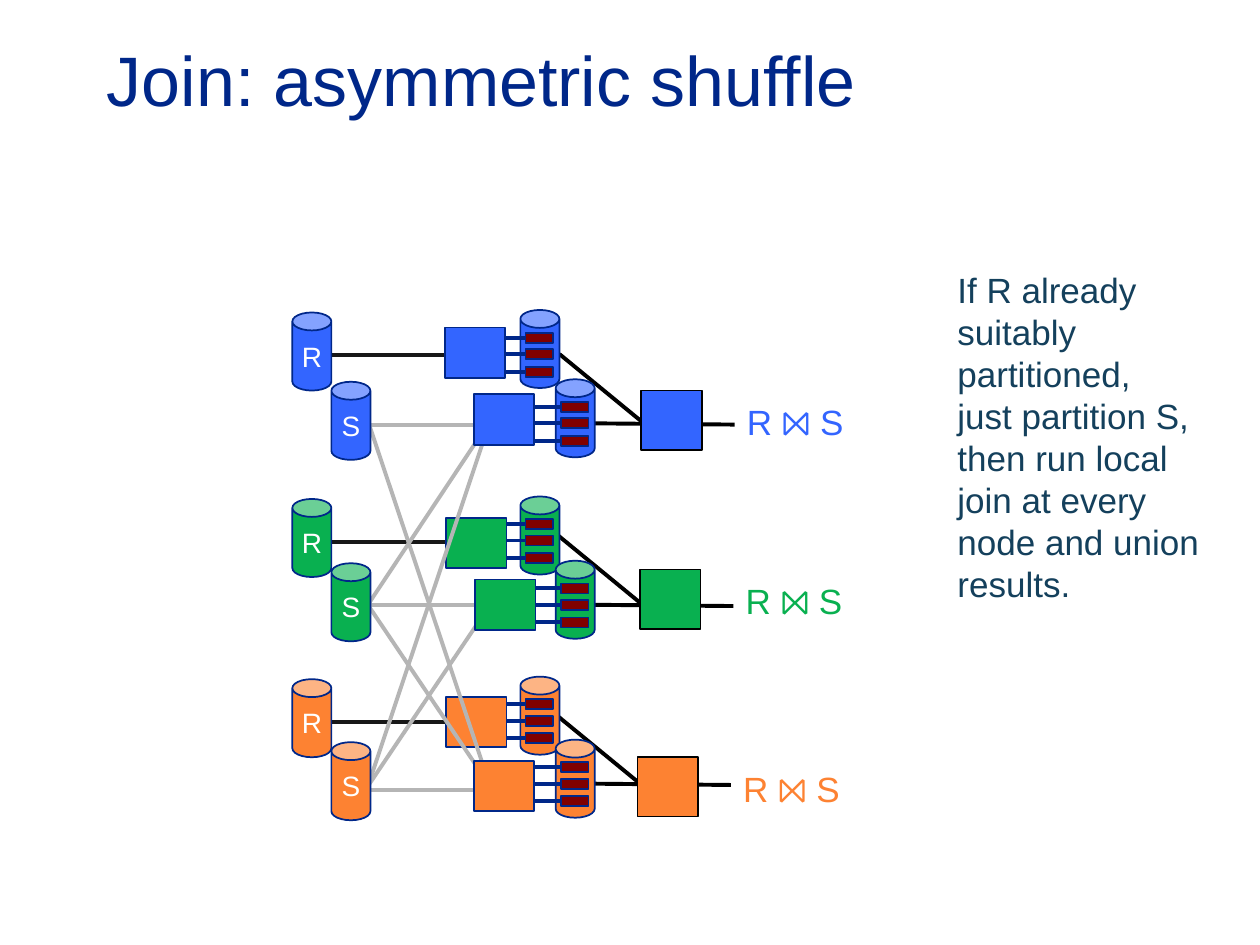
from collections import namedtuple

from lxml import etree
from pptx import Presentation
from pptx.dml import color
from pptx.enum import shapes, text
from pptx.oxml import ns
from pptx.util import Inches, Pt

NAVY, BLACK, WHITE = "002789", "000000", "FFFFFF"
GREY, CHARCOAL, MAROON, SLATE = "B5B5B5", "181818", "800000", "14405C"
RECT, CAN = shapes.MSO_SHAPE.RECTANGLE, shapes.MSO_SHAPE.CAN

Machine = namedtuple("Machine", "fill r_top s_top r_task s_task join lane port")
MACHINES = [
    Machine("3365FF", 2.48, 3.03, (3.53, 2.6), (3.76, 3.13), (5.09, 3.1), 3.37, 3.34),
    Machine("09B050", 3.96, 4.47, (3.54, 4.11), (3.77, 4.6), (5.08, 4.52), 4.8, 4.8),
    Machine("FD8232", 5.39, 5.89, (3.54, 5.53), (3.76, 6.04), (5.06, 6.01), 6.27, 6.24),
]
SHUFFLES = [(0, 2), (1, 0), (2, 1), (1, 2), (2, 0)]


def rgb(value):
    return color.RGBColor.from_string(value)


def add_span(para, words, size, shade):
    span = para.add_run()
    span.text = words
    span.font.name = "Arial"
    span.font.size = Pt(size)
    span.font.color.rgb = rgb(shade)


def add_text(page, area, paragraphs, size, shade, wrap=True, spacing=None):
    box = page.shapes.add_textbox(*map(Inches, area))
    frame = box.text_frame
    frame.word_wrap = wrap
    for number, lines in enumerate(paragraphs):
        para = frame.add_paragraph() if number else frame.paragraphs[0]
        if spacing:
            para.line_spacing = Pt(spacing)
        for row, words in enumerate(lines):
            if row:
                para.add_line_break()
            add_span(para, words, size, shade)
    return frame


def add_block(page, kind, area, fill, outline=NAVY):
    block = page.shapes.add_shape(kind, *map(Inches, area))
    block.shadow.inherit = False
    block.fill.solid()
    block.fill.fore_color.rgb = rgb(fill)
    block.line.color.rgb = rgb(outline)
    block.line.width = Pt(1)
    return block


def add_can(page, left, top, fill, name=None):
    can = add_block(page, CAN, (left, top, 0.31, 0.62), fill)
    can.adjustments[0] = 0.46
    if name:
        frame = can.text_frame
        frame.word_wrap = False
        frame.vertical_anchor = text.MSO_ANCHOR.MIDDLE
        para = frame.paragraphs[0]
        para.alignment = text.PP_ALIGN.CENTER
        add_span(para, name, 16, WHITE)


def add_line(page, start, end, shade):
    line = page.shapes.add_connector(
        shapes.MSO_CONNECTOR.STRAIGHT, *map(Inches, start + end))
    line.line.color.rgb = rgb(shade)
    line.line.width = Pt(2.25)
    etree.SubElement(line._element.spPr, ns.qn("a:effectLst"))
    return line


def add_store(page, left, top, fill):
    add_can(page, left, top, fill)
    for offset in (0.18, 0.31, 0.45):
        y = top + offset
        bucket = add_block(page, RECT, (left + 0.04, y, 0.22, 0.08), MAROON)
        wire = add_line(page, (left - 0.17, y + 0.04), (left + 0.04, y + 0.04), NAVY)
        wire.end_connect(bucket, 1)


def add_join_lines(page, machine):
    x, y = machine.join[0], machine.s_top + 0.33
    add_line(page, (x - 0.65, y - 0.55), (x + 0.02, y), BLACK)
    add_line(page, (4.71, y), (x + 0.74, y + 0.01), BLACK)


def add_local_table(page, machine):
    y = machine.r_top + 0.34
    add_line(page, (2.55, y), (3.64, y), CHARCOAL)
    add_can(page, 2.32, machine.r_top, machine.fill, "R")
    add_store(page, 4.13, machine.r_top - 0.02, machine.fill)
    add_block(page, RECT, machine.r_task + (0.48, 0.4), machine.fill)


def add_shuffle(page):
    for machine in MACHINES:
        add_line(page, (2.85, machine.lane), (3.94, machine.lane), GREY)
    for source, target in SHUFFLES:
        add_line(page, (2.92, MACHINES[source].port),
                 (3.89, MACHINES[target].port), GREY)


def add_shuffled_table(page, machine):
    add_can(page, 2.63, machine.s_top, machine.fill, "S")
    add_store(page, 4.41, machine.s_top - 0.02, machine.fill)
    add_block(page, RECT, machine.s_task + (0.48, 0.4), machine.fill)


def add_join(page, machine):
    x, y = machine.join
    add_block(page, RECT, (x, y, 0.48, 0.47), machine.fill, BLACK)
    add_text(page, (x + 0.74, y + 0.03, 1.02, 0.44), [["R ⨝ S"]], 20,
             machine.fill, wrap=False)


def main():
    deck = Presentation()
    deck.slide_width, deck.slide_height = Inches(10), Inches(7.5)
    page = deck.slides.add_slide(deck.slide_layouts[6])
    title = add_text(page, (0.75, 0, 8.5, 1.25), [["Join: asymmetric shuffle"]], 40, NAVY)
    title.vertical_anchor = text.MSO_ANCHOR.MIDDLE
    add_text(page, (7.5, 2.08, 2.18, 2.79), [
        ["If R already ", "suitably ", "partitioned,"],
        ["just partition S, then run local join at every node and union results."],
    ], 20, SLATE, spacing=24)
    for add_part in (add_join_lines, add_local_table):
        for machine in MACHINES:
            add_part(page, machine)
    add_shuffle(page)
    for add_part in (add_shuffled_table, add_join):
        for machine in MACHINES:
            add_part(page, machine)
    deck.save("out.pptx")


if __name__ == "__main__":
    main()
